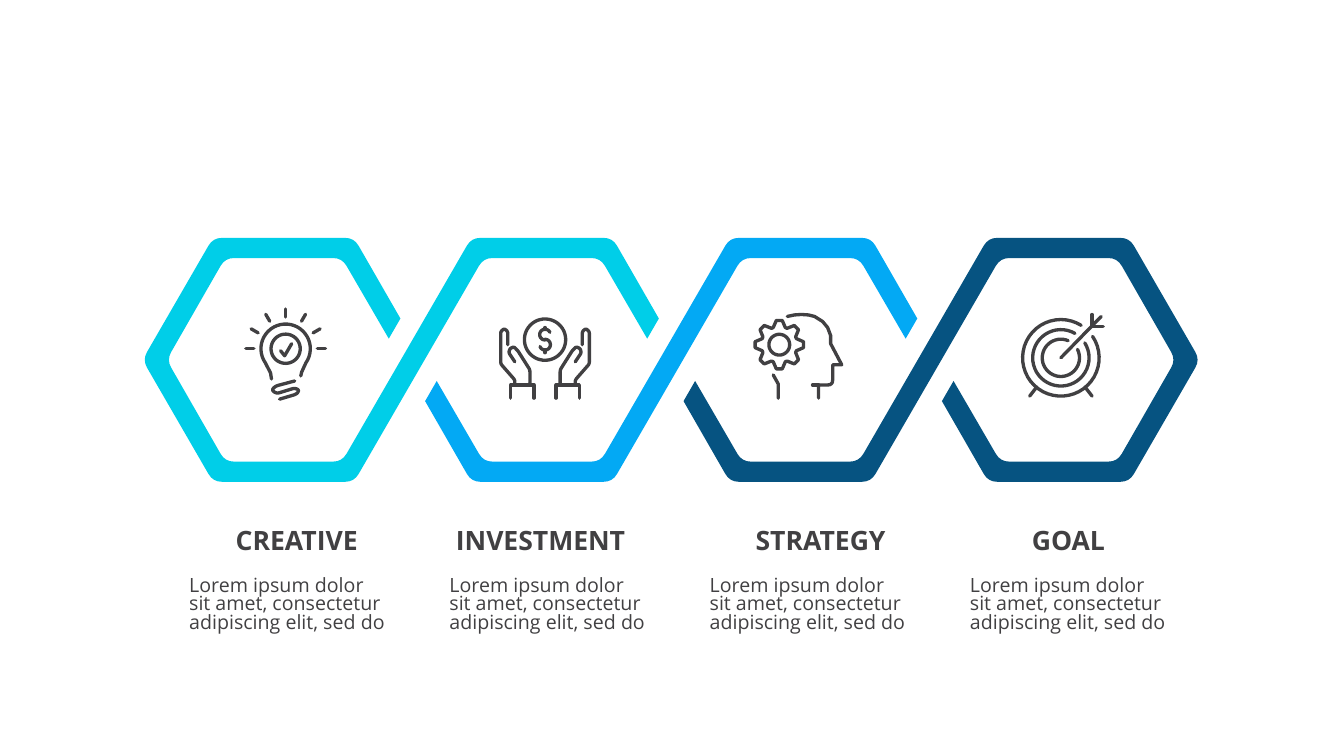
from math import cos, hypot, radians, sin

from pptx import Presentation
from pptx.dml.color import RGBColor
from pptx.enum.text import PP_ALIGN
from pptx.oxml.ns import qn
from pptx.util import Inches, Pt

INK, FONT = "414042", "Open Sans"
LOREM = "Lorem ipsum dolor sit amet, consectetur adipiscing elit, sed do"
# heading, left of its box in inches
HEADINGS = [("CREATIVE", 2.0), ("INVESTMENT", 4.42), ("STRATEGY", 7.2), ("GOAL", 9.66)]
TEXT_LEFT, TEXT_PITCH = 1.78, 2.583

# Hexagons: centre of the first, distance to the next, corners from the centre
CENTER_X, CENTER_Y, PITCH = 2.815, 3.57, 2.565
OUTER, INNER = 0, 1
CORNERS = {  # (outer, inner)
    "left": [(-1.4, 0), (-1.16, 0)],
    "top left": [(-0.7, -1.21), (-0.58, -1.01)],
    "top right": [(0.7, -1.21), (0.58, -1.01)],
    "right": [(1.4, 0), (1.16, 0)],
    "bottom right": [(0.7, 1.21), (0.58, 1.01)],
    "bottom left": [(-0.7, 1.21), (-0.58, 1.01)],
    "upper cut": [(1.16, -0.41), (1.045, -0.21)],
    "lower cut": [(-1.16, 0.41), (-1.045, 0.21)],
}
LOOP_START = ["upper cut", "top right", "top left", "left", "bottom left", "bottom right"]
LOOP_END = ["top left", "top right", "right", "bottom right", "bottom left", "lower cut"]
HALF_START = ["lower cut", "bottom left", "bottom right"]
HALF_END = ["top left", "top right", "upper cut"]
# first hexagon, corners on it, corners on the next one, colour
RIBBONS = [
    (2, HALF_START, LOOP_END, "065381"),
    (1, HALF_START, HALF_END, "03A9F4"),
    (0, LOOP_START, HALF_END, "00CEE8"),
]


def arc(x, y, radius, start, end):
    """Points along an arc; degrees run clockwise from the right."""
    steps = max(2, round(abs(end - start) / 8))
    angles = [radians(start + (end - start) * i / steps) for i in range(steps + 1)]
    return [(x + radius * cos(a), y + radius * sin(a)) for a in angles]


def circle(radius):
    return arc(0, 0, radius, 0, 360)


def rounded(points, reach):
    """Round the inner corners of an open line, starting reach before each."""
    result = [points[0]]
    for before, corner, after in zip(points, points[1:], points[2:]):
        ends = []
        for other in (before, after):
            dx, dy = other[0] - corner[0], other[1] - corner[1]
            share = min(reach / hypot(dx, dy), 0.5)
            ends.append((corner[0] + dx * share, corner[1] + dy * share))
        for t in (0, 0.25, 0.5, 0.75, 1):
            result.append(tuple((1 - t) ** 2 * a + 2 * t * (1 - t) * c + t * t * b
                                for a, c, b in zip(ends[0], corner, ends[1])))
    return result + [points[-1]]


def mirrored(strokes):
    return [[(-x, y) for x, y in stroke] for stroke in strokes]


# Icon strokes in hundredths of an inch around each icon's own centre
bulb = [
    [(-14, 30), (-15, 24)] + arc(0, 0, 24.5, 145, 395) + [(16, 23), (15, 27)],
    circle(14.5),
    [(-5, 2), (-1, 7), (6, -5)],
    rounded([(9, 32), (-10, 37), (-14, 41), (-9, 44.5), (9, 39),
             (13.5, 41), (11, 45), (-6, 50)], 3),
] + [arc(0, 0, 31.5, a, a)[:1] + arc(0, 0, 39.5, a, a)[:1] for a in range(180, 361, 30)]

hand = [
    rounded([(-30, 22), (-36, 13), (-35, 9), (-31, 7), (-27, 11), (-15, 30), (-15, 45),
             (-30, 45), (-30, 40), (-44, 24), (-44, -8), (-40.5, -11),
             (-37, -8), (-37, 5)], 2),
    [(-11, 58), (-11, 45), (-34, 45), (-34, 58)],
]
coin = [
    circle(20.5),
    arc(0, 5, 5.3, 160, -90) + arc(0, -5, 5.3, 90, 335),
    [(0, -10), (0, -12)],
    [(0, 10), (0, 13)],
]

gear = []
for tooth in range(0, 360, 45):
    for radius, turn in ((18, -19.5), (24.2, -7), (24.2, 7), (18, 19.5)):
        gear += arc(0, 0, radius, tooth + turn, tooth + turn)[:1]
head = [
    gear + gear[:1],
    circle(10.3),
    [(8, -28), (15, -29.5), (22, -30), (29, -29.5), (35, -28), (43, -23), (48, -17),
     (51, -9), (51, -1), (62, 20), (53, 20)]
    + rounded([(53, 20), (53, 40), (39, 40)], 5) + [(39, 53)],
    [(-1, 53), (-1, 39), (-6, 30)],
    [(39, 40), (33, 40)],
]

foot = [[(24, 29), (31, 38)]]
target = [
    arc(0, 0, 38, -34, 302), arc(0, 0, 28, -32, 300), arc(0, 0, 18.5, -27, 293),
    [(0, 0), (40, -41)],
    [(31, -43), (31, -31), (42, -31)],
] + foot + mirrored(foot)

# strokes, offset of the icon from the hexagon's centre
ICONS = [
    (bulb, (0.02, -0.11)),
    (coin + hand + mirrored(hand), (0.03, -0.2)),
    (head, (-0.21, -0.15)),
    (target, (0.02, -0.02)),
]


def color(hex_value):
    return RGBColor.from_string(hex_value)


def draw(slide, strokes, close=False):
    """Make one freeform out of several lines, given in inches."""
    lines = [[(Inches(x), Inches(y)) for x, y in stroke] for stroke in strokes]
    builder = slide.shapes.build_freeform(*lines[0][0])
    for number, line in enumerate(lines):
        if number:
            builder.move_to(*line[0])
        builder.add_line_segments(line[1:], close=close)
    outline = builder.convert_to_shape()
    outline.shadow.inherit = False
    return outline


def corner_point(hexagon, corner, ring):
    dx, dy = CORNERS[corner][ring]
    return CENTER_X + PITCH * hexagon + dx, CENTER_Y + dy


def add_ribbon(slide, first, start, end, fill):
    """The band runs outside the first hexagon and inside the next, then back."""
    sides = []
    for ring, other in ((OUTER, INNER), (INNER, OUTER)):
        side = [corner_point(first, corner, ring) for corner in start]
        side += [corner_point(first + 1, corner, other) for corner in end]
        sides.append(rounded(side, 0.09))
    band = draw(slide, [sides[0] + sides[1][::-1]], close=True)
    band.fill.solid()
    band.fill.fore_color.rgb = color(fill)
    band.line.fill.background()


def add_icon(slide, hexagon, strokes, offset):
    x, y = CENTER_X + PITCH * hexagon + offset[0], CENTER_Y + offset[1]
    icon = draw(slide, [[(x + px / 100, y + py / 100) for px, py in s] for s in strokes])
    icon.fill.background()
    icon.line.color.rgb = color(INK)
    icon.line.width = Pt(2.38)
    line = icon._element.spPr.find(qn("a:ln"))
    line.set("cap", "rnd")
    line.append(line.makeelement(qn("a:round"), {}))


def add_text(slide, text, box, size, spacing, bold=False, align=PP_ALIGN.LEFT):
    frame = slide.shapes.add_textbox(*map(Inches, box)).text_frame
    frame.word_wrap = True
    frame.text = text
    paragraph = frame.paragraphs[0]
    paragraph.alignment, paragraph.line_spacing = align, spacing
    font = paragraph.runs[0].font
    font.name, font.size, font.bold = FONT, Pt(size), bold
    font.color.rgb = color(INK)


def main():
    deck = Presentation()
    deck.slide_width, deck.slide_height = Inches(13.34), Inches(7.5)
    slide = deck.slides.add_slide(deck.slide_layouts[6])
    for column, (heading, left) in enumerate(HEADINGS):
        add_text(slide, heading, (left, 5.18, 1.89, 0.41), 19, 0.9, True, PP_ALIGN.CENTER)
        add_text(slide, LOREM, (TEXT_LEFT + TEXT_PITCH * column, 5.68, 2.14, 1.12), 14, 0.79)
    for ribbon in RIBBONS:
        add_ribbon(slide, *ribbon)
    for hexagon, (strokes, offset) in enumerate(ICONS):
        add_icon(slide, hexagon, strokes, offset)
    deck.save("out.pptx")


if __name__ == "__main__":
    main()
